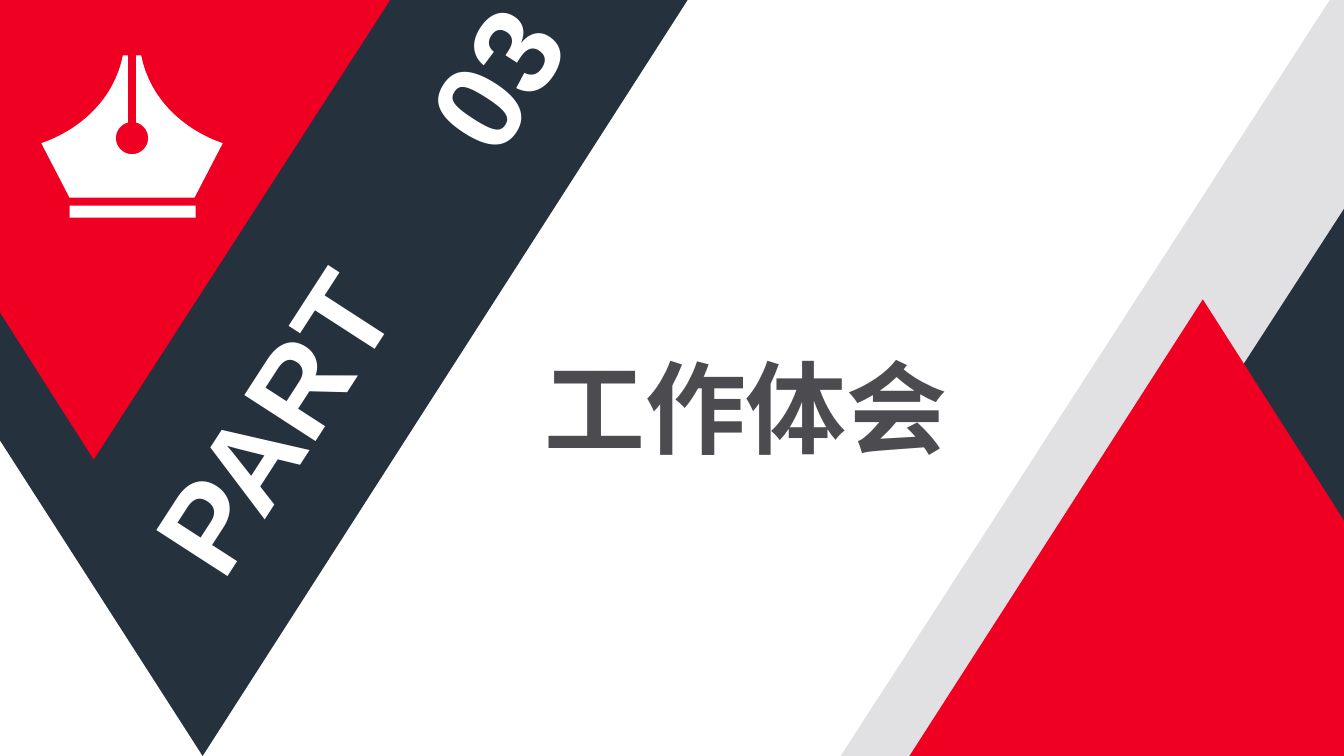
import math

import pptx
import pptx.dml.color
import pptx.enum.shapes
import pptx.enum.text
import pptx.oxml.ns
import pptx.util
from lxml import etree

Inches = pptx.util.Inches
COLORS = {"navy": "25313D", "red": "EF0023", "white": "FFFFFF",
          "silver": "E1E1E3", "charcoal": "4C4B50"}


class SectionSlide:
    font_name = "Arial"

    def __init__(self, deck):
        self.slide = deck.slides.add_slide(deck.slide_layouts[6])

    def color(self, name):
        return pptx.dml.color.RGBColor.from_string(COLORS[name])

    def paint(self, shape, color):
        shape.shadow.inherit = False
        shape.fill.solid()
        shape.fill.fore_color.rgb = self.color(color)
        shape.line.fill.background()

    def polygon(self, points, color):
        start, *rest = [(Inches(x), Inches(y)) for x, y in points]
        builder = self.slide.shapes.build_freeform(*start)
        builder.add_line_segments(rest, close=True)
        self.paint(builder.convert_to_shape(), color)

    def bar(self, box, color, rotation=0):
        bar = self.slide.shapes.add_shape(
            pptx.enum.shapes.MSO_SHAPE.RECTANGLE, *map(Inches, box))
        bar.rotation = rotation
        self.paint(bar, color)

    def text(self, words, box, size, color, rotation=0, tab=None):
        holder = self.slide.shapes.add_textbox(*map(Inches, box))
        holder.rotation = rotation
        frame = holder.text_frame
        frame_format = {
            "word_wrap": tab is not None,
            "auto_size": pptx.enum.text.MSO_AUTO_SIZE.SHAPE_TO_FIT_TEXT,
            "margin_right": Inches(0 if tab else 0.1),
        }
        for key, value in frame_format.items():
            setattr(frame, key, value)
        paragraph = frame.paragraphs[0]
        run = paragraph.add_run()
        run.text = words
        font_format = {"name": self.font_name, "size": pptx.util.Pt(size), "bold": True}
        for key, value in font_format.items():
            setattr(run.font, key, value)
        run.font.color.rgb = self.color(color)
        if tab:
            qn = pptx.oxml.ns.qn
            stops = etree.SubElement(paragraph._p.get_or_add_pPr(), qn("a:tabLst"))
            etree.SubElement(stops, qn("a:tab"), pos=str(Inches(tab)), algn="l")


def bezier(p0, p1, p2, p3, steps=24):
    """Points along a cubic curve, both ends included."""
    for i in range(steps + 1):
        t = i / steps
        u = 1 - t
        yield tuple(u**3 * a + 3 * u * u * t * b + 3 * u * t * t * c + t**3 * d
                    for a, b, c, d in zip(p0, p1, p2, p3))


def nib_outline(axis=1.31, hole_y=1.37, hole_radius=0.16, slot=0.04):
    """Right half as offsets from the axis, then its mirror image."""
    slot_angle = math.acos(slot / hole_radius)
    steps = 24
    half = []
    for i in range(steps + 1):
        angle = math.pi / 2 - i / steps * (math.pi / 2 + slot_angle)
        half.append((hole_radius * math.cos(angle), hole_y + hole_radius * math.sin(angle)))
    tip, wing, base = (0.09, 0.55), (0.9, 1.42), (0.62, 1.96)
    half.append((slot, tip[1]))
    half += bezier(tip, (0.23, 1.23), wing, wing)
    half.append(base)
    right = [(axis + x, y) for x, y in half]
    left = [(axis - x, y) for x, y in reversed(half)]
    return right + left


def main():
    deck = pptx.Presentation()
    deck.slide_width, deck.slide_height = Inches(13.33), Inches(7.5)
    section = SectionSlide(deck)

    # Upper left wedges
    section.polygon([(2.01, 7.5), (6.82, 0), (0, 0), (0, 4.37)], "navy")
    section.polygon([(0, 3.1), (0.93, 4.56), (3.87, 0), (0, 0)], "red")

    # Pen nib
    section.polygon(nib_outline(), "white")
    section.bar((0.69, 2.04, 1.25, 0.12), "white")

    # Section number
    section.text("PART\t03", (0.26, 2.07, 6.56, 1.58), 88, "white", rotation=302.9, tab=5)

    # Lower right wedges
    section.bar((10.86, -1.61, 1.25, 10.79), "silver", rotation=32.9)
    section.polygon([(9.82, 7.5), (14.82, 7.5), (14.82, 0), (14.67, 0)], "navy")
    section.polygon([(14.82, 7.5), (11.93, 2.97), (9.02, 7.5)], "red")

    # Section title
    section.text("工作体会", (5.3, 3.38, 4.26, 1.31), 72, "charcoal")

    deck.save("out.pptx")


if __name__ == "__main__":
    main()
